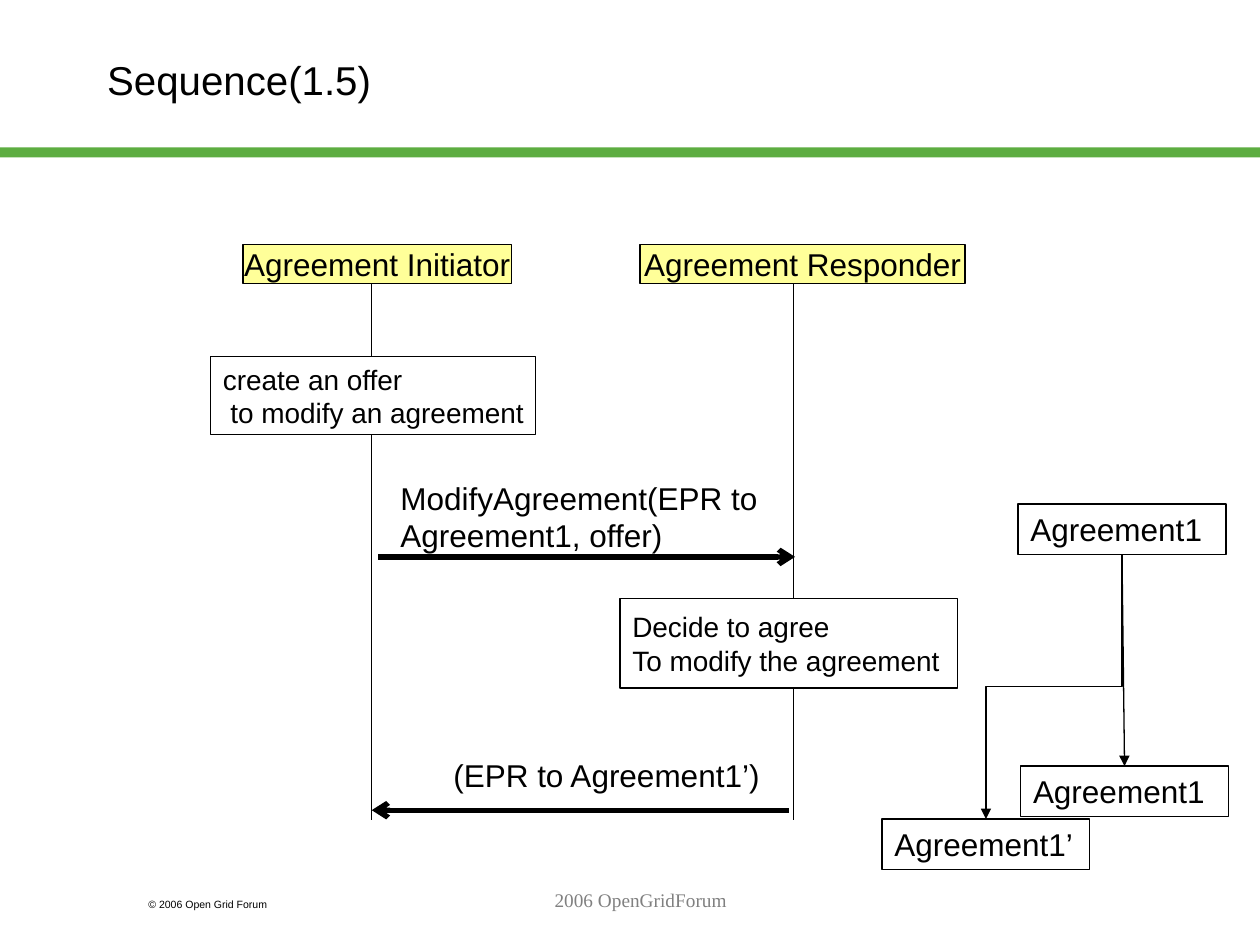
from dataclasses import dataclass
from typing import Optional

from lxml import etree
from pptx import Presentation
from pptx.dml.color import RGBColor
from pptx.enum.shapes import MSO_CONNECTOR, MSO_SHAPE
from pptx.enum.text import MSO_ANCHOR, MSO_AUTO_SIZE, PP_ALIGN
from pptx.oxml.ns import qn
from pptx.util import Inches, Pt

BLACK = RGBColor(0x00, 0x00, 0x00)
WHITE = RGBColor(0xFF, 0xFF, 0xFF)
GRAY = RGBColor(0x80, 0x80, 0x80)
GREEN = RGBColor(0x5D, 0xAD, 0x41)
YELLOW = RGBColor(0xFF, 0xFF, 0x99)

RECTANGLE = MSO_SHAPE.RECTANGLE
STRAIGHT, ELBOW = MSO_CONNECTOR.STRAIGHT, MSO_CONNECTOR.ELBOW
LEFT, CENTER = PP_ALIGN.LEFT, PP_ALIGN.CENTER
TOP, MIDDLE = MSO_ANCHOR.TOP, MSO_ANCHOR.MIDDLE
NO_AUTOFIT = MSO_AUTO_SIZE.NONE
TOP_SIDE, BOTTOM_SIDE = 0, 2
LIFELINE_TOP, LIFELINE_BOTTOM = 2.25, 6.51


@dataclass(frozen=True)
class Box:
    lines: tuple[str, ...]
    left: float
    top: float
    width: float
    height: float
    fill: Optional[RGBColor] = None
    size: float = 18
    align: PP_ALIGN = LEFT
    wrap: bool = False
    last_indent: float = 0


@dataclass(frozen=True)
class Label:
    lines: tuple[str, ...]
    left: float
    top: float
    width: float
    height: float
    size: float = 18
    font: str = "Arial"
    color: RGBColor = BLACK
    align: PP_ALIGN = LEFT
    wrap: bool = False


@dataclass(frozen=True)
class Message:
    start: float
    end: float
    y: float


PARTICIPANTS = (
    Box(("Agreement Initiator",), 1.93, 1.94, 2.13, 0.31, YELLOW, align=CENTER),
    Box(("Agreement Responder",), 5.08, 1.94, 2.58, 0.31, YELLOW, align=CENTER),
)
LIFELINES = (2.95, 6.3)
MESSAGES = (Message(3, 6.31, 4.42), Message(6.26, 2.95, 6.43))
ACTIVITIES = (
    Box(("create an offer", "to modify an agreement"),
        1.67, 2.83, 2.58, 0.62, WHITE, 16, last_indent=0.06),
    Box(("Decide to agree", "To modify the agreement"),
        4.92, 4.75, 2.68, 0.71, WHITE, 16),
)
LABELS = (
    Label(("ModifyAgreement(EPR to", "Agreement1, offer)"), 3.08, 3.75, 3.1, 0.7),
    Label(("(EPR to Agreement1’)",), 3.5, 5.95, 2.64, 0.4),
    Label(("© 2006 Open Grid Forum",), 1.08, 7.08, 1.5, 0.2, 6, wrap=True),
    Label(("2006 OpenGridForum",), 2.17, 7, 5.83, 0.5, 11,
          "Times New Roman", GRAY, CENTER, True),
)
ORIGINAL_AGREEMENT = Box(("Agreement1",), 8.08, 4, 1.65, 0.4, wrap=True)
KEPT_AGREEMENT = Box(("Agreement1",), 8.1, 6.08, 1.65, 0.4, wrap=True)
MODIFIED_AGREEMENT = Box(("Agreement1’",), 7, 6.5, 1.65, 0.4, wrap=True)


def write_lines(frame, lines: tuple[str, ...], size: float, align: PP_ALIGN,
                anchor: MSO_ANCHOR, wrap: bool, font: str = "Arial",
                color: RGBColor = BLACK) -> None:
    frame.auto_size = NO_AUTOFIT
    frame.word_wrap = wrap
    frame.vertical_anchor = anchor
    frame.text = "\n".join(lines)
    for paragraph in frame.paragraphs:
        paragraph.alignment = align
        paragraph.font.name = font
        paragraph.font.size = Pt(size)
        paragraph.font.color.rgb = color


def add_box(slide, box: Box):
    shape = slide.shapes.add_shape(
        RECTANGLE, Inches(box.left), Inches(box.top),
        Inches(box.width), Inches(box.height))
    shape.shadow.inherit = False
    if box.fill is None:
        shape.fill.background()
    else:
        shape.fill.solid()
        shape.fill.fore_color.rgb = box.fill
    shape.line.color.rgb = BLACK
    shape.line.width = Pt(0.75)
    write_lines(shape.text_frame, box.lines, box.size, box.align, MIDDLE, box.wrap)
    if box.last_indent:
        properties = shape.text_frame.paragraphs[-1]._p.get_or_add_pPr()
        properties.set("marL", str(Inches(box.last_indent)))
    return shape


def add_label(slide, label: Label) -> None:
    text_box = slide.shapes.add_textbox(
        Inches(label.left), Inches(label.top),
        Inches(label.width), Inches(label.height))
    write_lines(text_box.text_frame, label.lines, label.size, label.align, TOP,
                label.wrap, label.font, label.color)


def add_line(slide, start: tuple[float, float], end: tuple[float, float],
             weight: float = 0.75, arrowhead: Optional[str] = None,
             kind: MSO_CONNECTOR = STRAIGHT):
    line = slide.shapes.add_connector(
        kind, Inches(start[0]), Inches(start[1]), Inches(end[0]), Inches(end[1]))
    line.line.color.rgb = BLACK
    line.line.width = Pt(weight)
    if arrowhead:
        etree.SubElement(line.line._get_or_add_ln(), qn("a:tailEnd"), type=arrowhead)
    etree.SubElement(line._element.spPr, qn("a:effectLst"))
    return line


def link_down(slide, source, target, kind: MSO_CONNECTOR) -> None:
    """Join the bottom of source to the top of target with an arrow."""
    link = add_line(slide, (0, 0), (1, 1), arrowhead="triangle", kind=kind)
    link.begin_connect(source, BOTTOM_SIDE)
    link.end_connect(target, TOP_SIDE)
    if kind == ELBOW:
        # A quarter turn makes the elbow leave and arrive vertically.
        center_x = link.left + link.width // 2
        center_y = link.top + link.height // 2
        link.width, link.height = link.height, link.width
        link.left = center_x - link.width // 2
        link.top = center_y - link.height // 2
        transform = link._element.spPr.find(qn("a:xfrm"))
        transform.set("flipH", "0")
        transform.set("rot", "5400000")


def add_header(slide) -> None:
    bar = slide.shapes.add_shape(
        RECTANGLE, 0, Inches(1.17), Inches(10), Inches(0.08))
    bar.shadow.inherit = False
    bar.fill.solid()
    bar.fill.fore_color.rgb = GREEN
    bar.line.fill.background()
    title = slide.shapes.title
    title.left, title.top = Inches(0.75), Inches(0.17)
    title.width, title.height = Inches(2.42), Inches(0.92)
    write_lines(title.text_frame, ("Sequence(1.5)",), 23, LEFT, MIDDLE, True)


def main() -> None:
    presentation = Presentation()
    presentation.slide_width, presentation.slide_height = Inches(10), Inches(7.5)
    slide = presentation.slides.add_slide(presentation.slide_layouts[5])

    add_header(slide)
    for x in LIFELINES:
        add_line(slide, (x, LIFELINE_TOP), (x, LIFELINE_BOTTOM))
    for message in MESSAGES:
        add_line(slide, (message.start, message.y), (message.end, message.y),
                 3, "arrow")
    for box in PARTICIPANTS + ACTIVITIES:
        add_box(slide, box)
    for label in LABELS:
        add_label(slide, label)

    original = add_box(slide, ORIGINAL_AGREEMENT)
    kept = add_box(slide, KEPT_AGREEMENT)
    modified = add_box(slide, MODIFIED_AGREEMENT)
    link_down(slide, original, kept, STRAIGHT)
    link_down(slide, original, modified, ELBOW)

    presentation.save("out.pptx")


if __name__ == "__main__":
    main()
